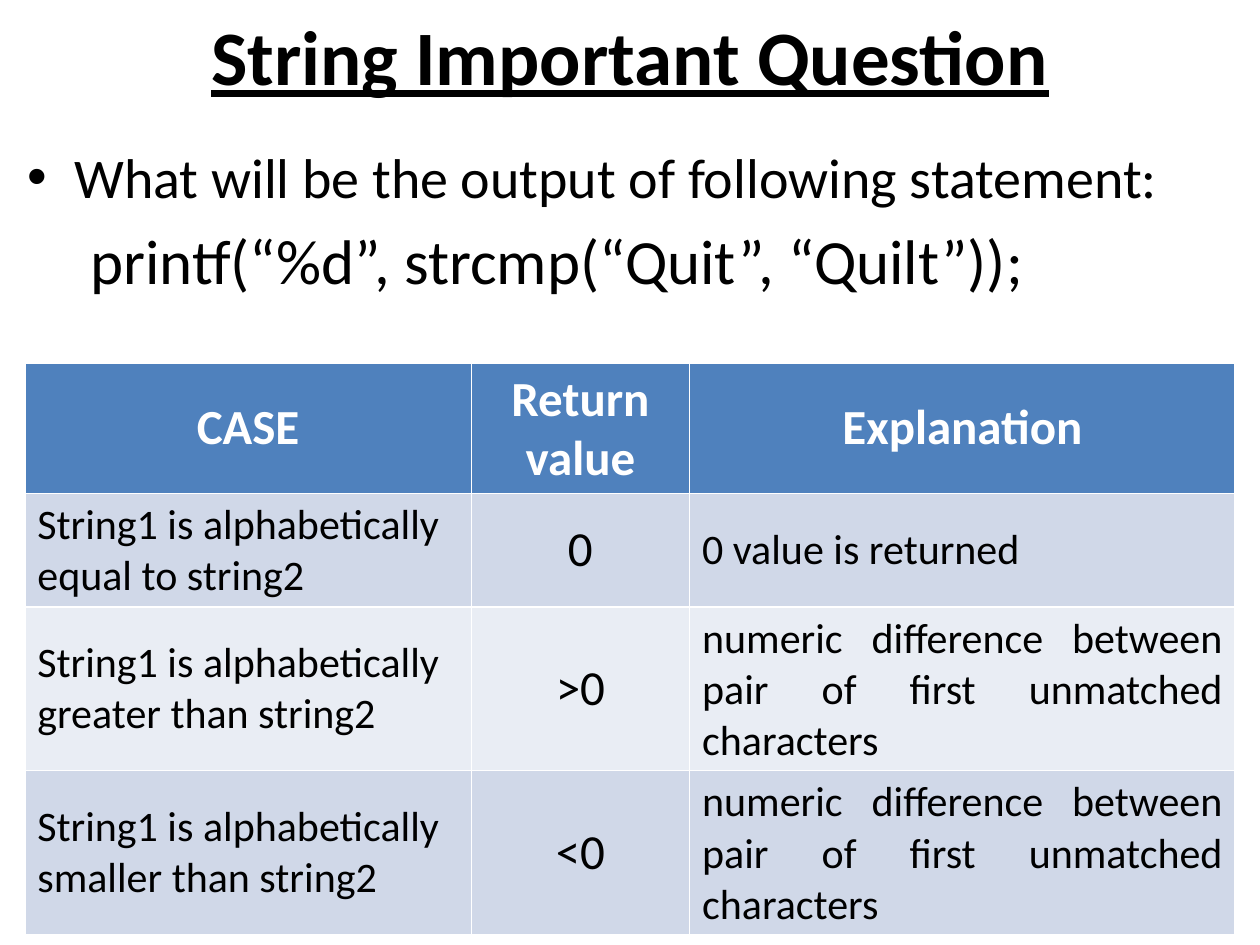
from typing import NamedTuple

from lxml.etree import SubElement
from pptx import Presentation
from pptx.dml.color import RGBColor
from pptx.enum.text import MSO_ANCHOR as Anchor, PP_ALIGN as Align
from pptx.oxml.ns import qn
from pptx.util import Cm, Pt

FONT = "Calibri"
COLORS = {
    "text": "000000",
    "header_text": "FFFFFF",
    "header": "4F81BD",
    "dark_band": "D0D8E8",
    "light_band": "E9EDF4",
}


class TextStyle(NamedTuple):
    size: int
    color: str = "text"
    bold: bool = False
    underline: bool = False
    align: Align = Align.LEFT


class Case(NamedTuple):
    condition: str
    value: str
    explanation: str
    explanation_align: Align = Align.JUSTIFY


DIFFERENCE = "numeric difference between pair of first unmatched characters"
HEADINGS = ("CASE", "Return value", "Explanation")
CASES = (
    Case("String1 is alphabetically equal to string2", "0", "0 value is returned", Align.LEFT),
    Case("String1 is alphabetically greater than string2", ">0", DIFFERENCE),
    Case("String1 is alphabetically smaller than string2", "<0", DIFFERENCE),
)
COLUMN_WIDTHS = (9, 4.4, 11)
ROW_HEIGHT = 2.21


def format_paragraph(paragraph, style: TextStyle) -> None:
    paragraph.alignment = style.align
    for run in paragraph.runs:
        font = run.font
        font.name = FONT
        font.size = Pt(style.size)
        font.bold = style.bold
        font.underline = style.underline
        font.color.rgb = RGBColor.from_string(COLORS[style.color])


def indent_paragraph(paragraph, left: float, bullet: str = "") -> None:
    properties = paragraph._p.get_or_add_pPr()
    properties.set("marL", str(Cm(left)))
    if bullet:
        properties.set("indent", str(-Cm(left)))
        SubElement(properties, qn("a:buFont"), typeface="Arial")
        SubElement(properties, qn("a:buChar"), char=bullet)


def add_title(slide) -> None:
    title = slide.shapes.title
    title.left, title.top, title.width, title.height = Cm(1.27), Cm(-0.48), Cm(22.86), Cm(3.18)
    frame = title.text_frame
    frame.text = "String Important Question"
    frame.vertical_anchor = Anchor.MIDDLE
    format_paragraph(
        frame.paragraphs[0], TextStyle(44, bold=True, underline=True, align=Align.CENTER)
    )


def add_question(slide) -> None:
    frame = slide.shapes.add_textbox(Cm(0.3), Cm(2.74), Cm(23.83), Cm(4.2)).text_frame
    frame.word_wrap = True
    question = frame.paragraphs[0]
    question.text = "What will be the output of following statement:"
    statement = frame.add_paragraph()
    statement.text = "printf(“%d”, strcmp(“Quit”, “Quilt”));"
    for paragraph, size in ((question, 32), (statement, 36)):
        format_paragraph(paragraph, TextStyle(size))
        paragraph.space_before = Pt(size * 0.2)
    indent_paragraph(question, 0.95, "•")
    indent_paragraph(statement, 1.27)


def fill_cell(cell, text: str, style: TextStyle, fill: str) -> None:
    cell.text_frame.text = text
    cell.vertical_anchor = Anchor.MIDDLE
    cell.fill.solid()
    cell.fill.fore_color.rgb = RGBColor.from_string(COLORS[fill])
    format_paragraph(cell.text_frame.paragraphs[0], style)


def add_case_table(slide) -> None:
    row_count = len(CASES) + 1
    table = slide.shapes.add_table(
        row_count, len(HEADINGS), Cm(0.5), Cm(7.32),
        Cm(sum(COLUMN_WIDTHS)), Cm(ROW_HEIGHT * row_count),
    ).table
    for column, width in zip(table.columns, COLUMN_WIDTHS):
        column.width = Cm(width)

    heading_style = TextStyle(28, "header_text", bold=True, align=Align.CENTER)
    for column, heading in enumerate(HEADINGS):
        fill_cell(table.cell(0, column), heading, heading_style, "header")

    for row, case in enumerate(CASES, start=1):
        band = "dark_band" if row % 2 else "light_band"
        fill_cell(table.cell(row, 0), case.condition, TextStyle(24), band)
        fill_cell(table.cell(row, 1), case.value, TextStyle(28, align=Align.CENTER), band)
        explanation_style = TextStyle(24, align=case.explanation_align)
        fill_cell(table.cell(row, 2), case.explanation, explanation_style, band)


def main() -> None:
    presentation = Presentation()
    presentation.slide_width, presentation.slide_height = Cm(25.4), Cm(19.05)
    slide = presentation.slides.add_slide(presentation.slide_layouts[5])
    add_title(slide)
    add_question(slide)
    add_case_table(slide)
    presentation.save("out.pptx")


if __name__ == "__main__":
    main()
